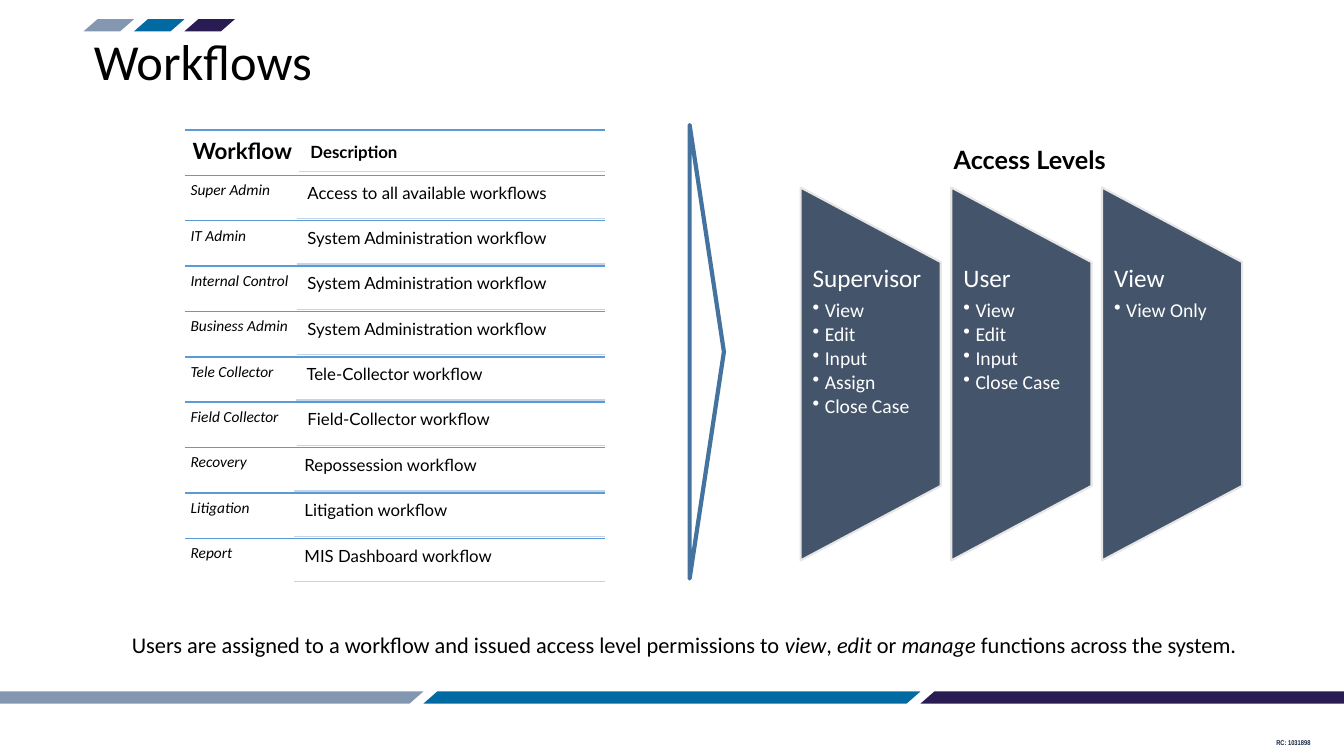
from lxml import etree
from pptx import Presentation
from pptx.dml.color import RGBColor
from pptx.enum.shapes import MSO_CONNECTOR, MSO_SHAPE
from pptx.enum.text import MSO_ANCHOR, PP_ALIGN
from pptx.oxml.ns import qn
from pptx.util import Inches, Pt

LINE = MSO_CONNECTOR.STRAIGHT
SLANT = MSO_SHAPE.PARALLELOGRAM
PANEL = MSO_SHAPE.FLOWCHART_MANUAL_OPERATION
WEDGE = MSO_SHAPE.ISOSCELES_TRIANGLE
MIDDLE = MSO_ANCHOR.MIDDLE
LEFT, JUSTIFY = PP_ALIGN.LEFT, PP_ALIGN.JUSTIFY

COLORS = {
    "mist": "8497B0", "blue": "016AA3", "plum": "281C52",
    "rule": "5B9BD5", "pale": "C4D5EB", "slate": "44546A",
    "edge": "E7E6E6", "steel": "43739E", "navy": "0F243E",
    "black": "000000", "white": "FFFFFF",
}

# Workflow, description, left end of the pale rule
ROWS = [
    ("Super Admin", "Access to all available workflows", 2.95),
    ("IT Admin", "System Administration workflow", 2.95),
    ("Internal Control", "System Administration workflow", 2.95),
    ("Business Admin", "System Administration workflow", 2.95),
    ("Tele Collector", "Tele-Collector workflow", 2.94),
    ("Field Collector", "Field-Collector workflow", 2.95),
    ("Recovery", "Repossession workflow", 2.92),
    ("Litigation", "Litigation workflow", 2.92),
    ("Report", "MIS Dashboard workflow", 2.92),
]
LEVELS = [
    ("Supervisor", ["View", "Edit", "Input", "Assign", "Close Case"]),
    ("User", ["View", "Edit", "Input", "Close Case"]),
    ("View", ["View Only"]),
]
NOTE = [
    ("Users are assigned to a workflow and issued access level permissions to ", False),
    ("view", True), (", ", False), ("edit", True), (" or ", False),
    ("manage", True), (" functions across the system.", False),
]


def rgb(name):
    return RGBColor.from_string(COLORS[name])


def style(run, size, face="Calibri", color="black", bold=False, italic=False):
    font = run.font
    font.size, font.name = Pt(size), face
    font.bold, font.italic = bold, italic
    font.color.rgb = rgb(color)


def add_box(slide, x, y, w, h, pads=(0.1, 0.05, 0.1, 0.05), wrap=True):
    box = slide.shapes.add_textbox(Inches(x), Inches(y), Inches(w), Inches(h))
    frame = box.text_frame
    frame.word_wrap = wrap
    (frame.margin_left, frame.margin_top,
     frame.margin_right, frame.margin_bottom) = map(Inches, pads)
    frame.paragraphs[0].line_spacing = 0.9
    return frame


def add_text(slide, text, x, y, w, h, pad=None, **look):
    pads = {} if pad is None else {"pads": (pad,) * 4}
    frame = add_box(slide, x, y, w, h, wrap=False, **pads)
    frame.text = text
    style(frame.paragraphs[0].runs[0], **look)


def add_form(slide, kind, x, y, w, h, fill, edge=None, width=0):
    form = slide.shapes.add_shape(kind, Inches(x), Inches(y), Inches(w), Inches(h))
    form.shadow.inherit = False
    form.fill.solid()
    form.fill.fore_color.rgb = rgb(fill)
    if edge:
        form.line.color.rgb = rgb(edge)
        form.line.width = Pt(width)
    else:
        form.line.fill.background()
    return form


def add_rule(slide, left, right, y, color):
    rule = slide.shapes.add_connector(
        LINE, Inches(left), Inches(y), Inches(right), Inches(y))
    rule.line.color.rgb = rgb(color)
    rule.line.width = Pt(1)
    etree.SubElement(rule._element.spPr, qn("a:effectLst"))


def add_bands(slide, x, y, w, h):
    for i, color in enumerate(("mist", "blue", "plum")):
        band = add_form(slide, SLANT, x + i * w / 3, y, w / 3, h, color)
        band.adjustments[0] = 1.144


def add_title(slide, x, y, w, h):
    title = slide.shapes.title
    title.left, title.top = Inches(x), Inches(y)
    title.width, title.height = Inches(w), Inches(h)
    frame = title.text_frame
    frame.text = "Workflows"
    frame.vertical_anchor = MIDDLE
    para = frame.paragraphs[0]
    para.alignment, para.line_spacing = LEFT, 0.9
    style(para.runs[0], 36)


def add_list(slide, x, y, w, h):
    right, step = x + w, h / (len(ROWS) + 1)

    # Header
    split = x + 1.13
    add_rule(slide, x, right, y, "rule")
    add_text(slide, "Workflow", x, y, split - x, step, 0.07,
             size=16, face="Lato", bold=True)
    add_text(slide, "Description", split + 0.06, y + 0.07, right - split - 0.06,
             0.31, 0.05, size=12, face="Lato", bold=True)
    add_rule(slide, split, right, y + 0.41, "pale")

    # Rows
    for i, (name, about, split) in enumerate(ROWS, 1):
        top = y + i * step
        add_rule(slide, x, right, top, "rule")
        add_text(slide, name, x, top, split - x, step, 0.05, size=11, italic=True)
        add_text(slide, about, split + 0.05, top + 0.02, right - split - 0.05,
                 0.41, 0.05, size=12, face="Lato")
        add_rule(slide, split, right, top + 0.43, "pale")


def add_arrow(slide, x, y, w, h):
    # Turned a quarter, so width and height swap about the centre
    arrow = add_form(slide, WEDGE, x + (w - h) / 2, y + (h - w) / 2, h, w,
                     "white", "steel", 3)
    arrow.rotation = 90


def add_bullet(para):
    props = para._p.get_or_add_pPr()
    props.set("marL", str(Inches(0.12)))
    props.set("indent", str(-Inches(0.12)))
    etree.SubElement(props, qn("a:buChar")).set("char", "•")


def add_level(slide, name, rights, x, y, w, h):
    panel = add_form(slide, PANEL, x + (w - h) / 2, y + (h - w) / 2, h, w,
                     "slate", "edge", 1.5)
    panel.rotation = 270
    frame = add_box(slide, x, y + h / 5, w, h * 0.6, (0.12, 0, 0.13, 0))
    frame.text = name
    head = frame.paragraphs[0]
    head.space_after = Pt(6)
    style(head.runs[0], 18, color="white")
    for right in rights:
        para = frame.add_paragraph()
        para.text, para.level = right, 1
        para.line_spacing, para.space_after = 0.9, Pt(2)
        add_bullet(para)
        style(para.runs[0], 14, color="white")


def add_levels(slide, x, y, w, h):
    add_text(slide, "Access Levels", x + 1.42, y - 0.48, 1.75, 0.69,
             size=18, face="Lato", bold=True)
    wide = 1.39
    step = (w - wide) / (len(LEVELS) - 1)
    for i, (name, rights) in enumerate(LEVELS):
        add_level(slide, name, rights, x + i * step, y, wide, h)


def add_note(slide, x, y, w, h):
    para = add_box(slide, x, y, w, h).paragraphs[0]
    para.alignment = JUSTIFY
    for text, slope in NOTE:
        run = para.add_run()
        run.text = text
        style(run, 16, italic=slope)


def main():
    deck = Presentation()
    deck.slide_width, deck.slide_height = Inches(13.33), Inches(7.5)
    slide = deck.slides.add_slide(deck.slide_layouts[5])
    add_bands(slide, -0.73, 6.86, 14.79, 0.12)
    add_text(slide, "RC: 1031898", 12.56, 7.28, 0.62, 0.2,
             size=5, face="Arial Narrow", color="navy", bold=True)
    add_title(slide, 0.83, 0.18, 9.74, 0.92)
    add_bands(slide, 0.83, 0.19, 1.5, 0.12)
    add_list(slide, 1.84, 1.29, 4.16, 4.5)
    add_levels(slide, 7.94, 1.86, 4.38, 3.7)
    add_note(slide, 1.21, 6.24, 11.26, 0.69)
    add_arrow(slide, 6.84, 1.24, 0.34, 4.5)
    deck.save("out.pptx")


if __name__ == "__main__":
    main()
